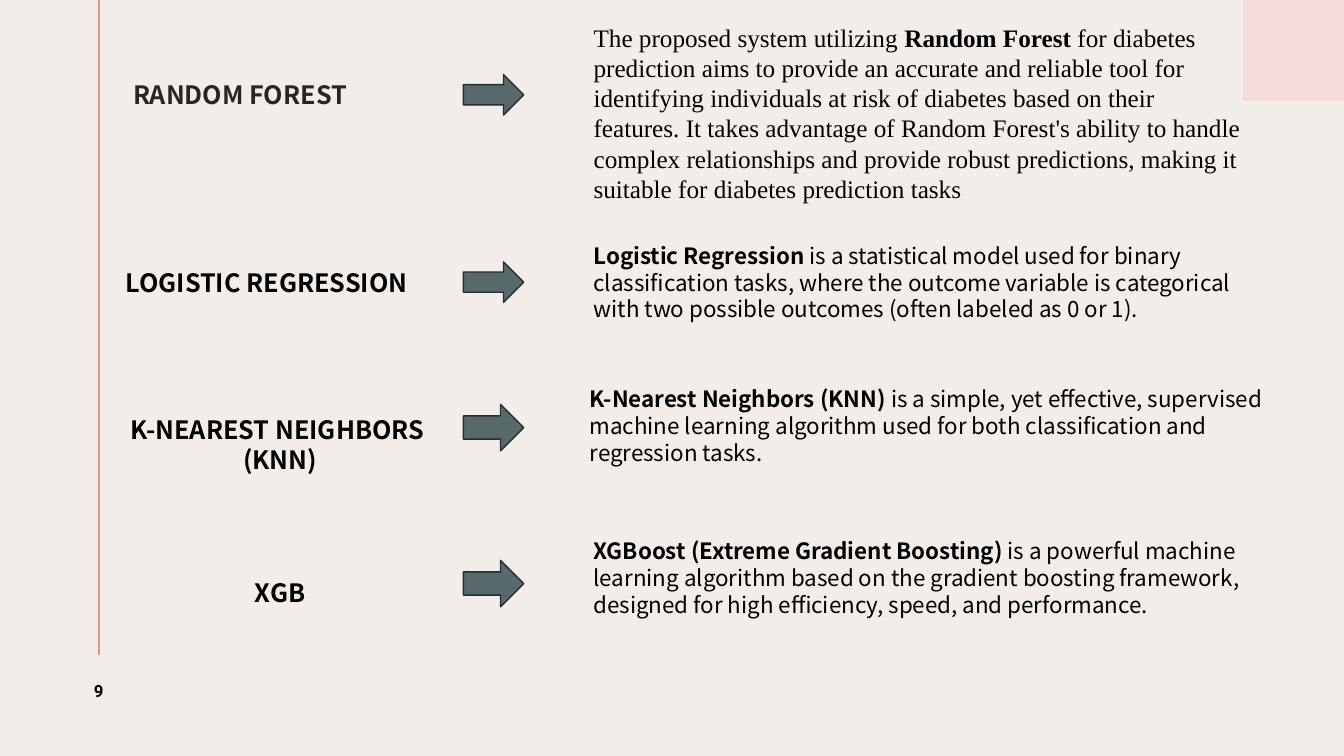
from dataclasses import dataclass

from lxml.etree import SubElement
from pptx import Presentation
from pptx.dml.color import RGBColor
from pptx.enum.shapes import MSO_CONNECTOR, MSO_SHAPE
from pptx.enum.text import MSO_ANCHOR, PP_ALIGN
from pptx.oxml.ns import qn
from pptx.util import Cm, Pt


@dataclass(frozen=True)
class Theme:
    background: str = "F3EDEA"
    corner: str = "F4DDD8"
    rule: str = "DF998B"
    arrow: str = "58696B"
    arrow_line: str = "272E2F"
    text: str = "000000"
    soft_text: str = "262626"
    sans: str = "Noto Sans CJK SC"
    serif: str = "Times New Roman"
    number_font: str = "Roboto"
    large: int = 18
    medium: int = 16
    small: int = 12
    leading: float = 1.2


THEME = Theme()

# Content: each paragraph is a list of (text, bold) runs; lengths in cm
MODELS = [
    {
        "label": ["RANDOM FOREST"],
        "label_centre": 6.05, "label_top": 1.88, "label_color": THEME.soft_text,
        "arrow": (1.88, 1.02),
        "body": [("The proposed system utilizing ", False), ("Random Forest", True),
                 (" for diabetes prediction aims to provide an accurate and reliable tool for "
                  "identifying individuals at risk of diabetes based on their features. It takes "
                  "advantage of Random Forest's ability to handle complex relationships and provide "
                  "robust predictions, making it suitable for diabetes prediction tasks", False)],
        "body_box": (14.71, 0.43, 16.94, 4.88),
        "body_format": {"font": THEME.serif, "size": THEME.large},
    },
    {
        "label": ["LOGISTIC REGRESSION"],
        "label_centre": 6.72, "label_top": 6.6,
        "arrow": (6.6, 1.02),
        "body": [("Logistic Regression", True),
                 (" is a statistical model used for binary classification tasks, where the outcome "
                  "variable is categorical with two possible outcomes (often labeled as 0 or 1).",
                  False)],
        "body_box": (14.71, 5.97, 17.58, 2.31),
    },
    {
        "label": ["K-NEAREST NEIGHBORS ", "(KNN)"],
        "label_centre": 7.06, "label_top": 10.31,
        "arrow": (10.19, 1.17),
        "body": [("K-Nearest Neighbors (KNN)", True),
                 (" is a simple, yet effective, supervised machine learning algorithm used for both "
                  "classification and regression tasks.", False)],
        "body_box": (14.61, 9.58, 17.81, 2.31),
    },
    {
        "label": ["XGB"],
        "label_centre": 7.06, "label_top": 14.43,
        "arrow": (14.12, 1.17),
        "body": [("XGBoost (Extreme Gradient Boosting)", True),
                 (" is a powerful machine learning algorithm based on the gradient boosting "
                  "framework, designed for high efficiency, speed, and performance.", False)],
        "body_box": (14.71, 13.41, 17.86, 2.31),
    },
]
PAGE_NUMBER = "9"

LABEL_WIDTH = 8.89
LABEL_LINE = 0.76
ARROW_LEFT, ARROW_WIDTH = 11.68, 1.52


def color(value):
    return RGBColor.from_string(value)


def add_text(slide, box, paragraphs, *, font=THEME.sans, size=THEME.medium, ink=THEME.text,
             align=PP_ALIGN.LEFT, anchor=MSO_ANCHOR.TOP, tracking=0):
    frame = slide.shapes.add_textbox(*map(Cm, box)).text_frame
    frame.word_wrap = True
    frame.vertical_anchor = anchor
    for index, runs in enumerate(paragraphs):
        paragraph = frame.add_paragraph() if index else frame.paragraphs[0]
        paragraph.alignment = align
        paragraph.line_spacing = Pt(size * THEME.leading)
        for text, bold in runs:
            run = paragraph.add_run()
            run.text = text
            run.font.name = font
            run.font.size = Pt(size)
            run.font.bold = bold
            run.font.color.rgb = color(ink)
            if tracking:
                run.font._element.set("spc", str(int(tracking * 100)))


def add_block(slide, kind, box, fill, outline=None):
    shape = slide.shapes.add_shape(kind, *map(Cm, box))
    shape.shadow.inherit = False
    shape.fill.solid()
    shape.fill.fore_color.rgb = color(fill)
    if outline:
        shape.line.color.rgb = color(outline)
        shape.line.width = Pt(1)
    else:
        shape.line.fill.background()


def add_rule(slide, left, top, bottom):
    rule = slide.shapes.add_connector(MSO_CONNECTOR.STRAIGHT, Cm(left), Cm(top), Cm(left), Cm(bottom))
    rule.line.color.rgb = color(THEME.rule)
    rule.line.width = Pt(1.5)
    SubElement(rule._element.spPr, qn("a:effectLst"))


def add_model(slide, model):
    lines = model["label"]
    label_box = (model["label_centre"] - LABEL_WIDTH / 2, model["label_top"],
                 LABEL_WIDTH, LABEL_LINE * len(lines) + 0.25)
    add_text(slide, label_box, [[(line, True)] for line in lines], size=THEME.large,
             ink=model.get("label_color", THEME.text), align=PP_ALIGN.CENTER)
    arrow_top, arrow_height = model["arrow"]
    add_block(slide, MSO_SHAPE.RIGHT_ARROW, (ARROW_LEFT, arrow_top, ARROW_WIDTH, arrow_height),
              THEME.arrow, THEME.arrow_line)
    add_text(slide, model["body_box"], [model["body"]], **model.get("body_format", {}))


def main():
    presentation = Presentation()
    presentation.slide_width, presentation.slide_height = Cm(33.87), Cm(19.05)
    slide = presentation.slides.add_slide(presentation.slide_layouts[6])

    # Background and frame
    slide.background.fill.solid()
    slide.background.fill.fore_color.rgb = color(THEME.background)
    add_block(slide, MSO_SHAPE.RECTANGLE, (31.33, 0, 2.54, 2.54), THEME.corner)
    add_rule(slide, 2.49, 0, 16.51)

    # Page number
    add_text(slide, (1.14, 16.51, 2.69, 1.8), [[(PAGE_NUMBER, True)]], font=THEME.number_font,
             size=THEME.small, align=PP_ALIGN.CENTER, anchor=MSO_ANCHOR.MIDDLE, tracking=1.5)

    # Model rows
    for model in MODELS:
        add_model(slide, model)

    presentation.save("out.pptx")


if __name__ == "__main__":
    main()
